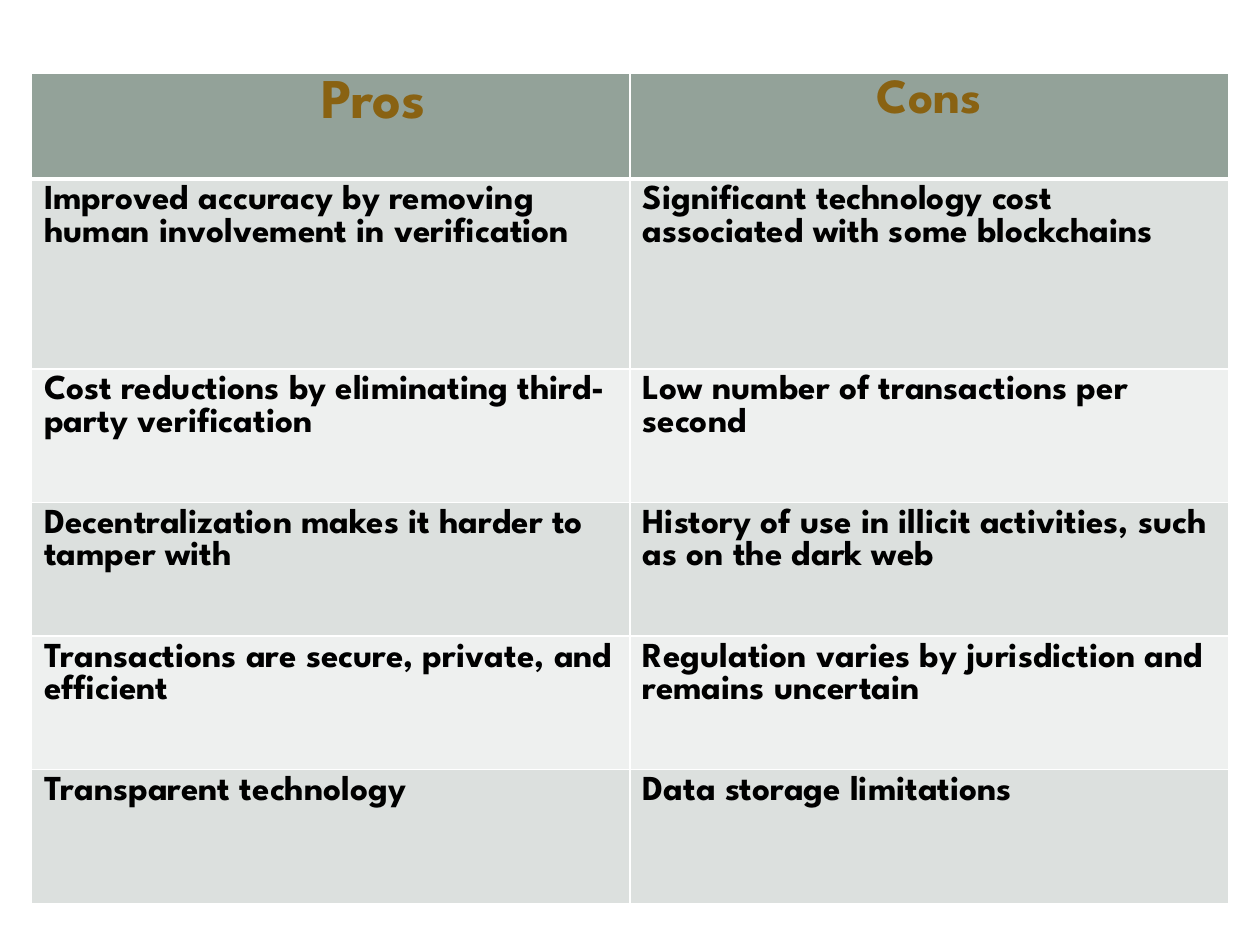
from dataclasses import dataclass

from lxml.etree import SubElement as Sub
from pptx import Presentation
from pptx.dml.color import RGBColor as Rgb
from pptx.enum.text import PP_ALIGN as Align
from pptx.oxml.ns import qn
from pptx.util import Pt

SCALE = 9144


@dataclass(frozen=True)
class Theme:
    font: str = "League Spartan"
    head: str = "93A299"
    bands: tuple = ("DCE0DE", "EEF0EF")
    gold: str = "896212"
    ink: str = "000000"
    rule: str = "FFFFFF"
    sizes: tuple = (32, 28)
    body: int = 20
    thin: int = 1
    thick: int = 3


THEME = Theme()
HEADS = ("Pros", "Cons")
POINTS = (
    ("Improved accuracy by removing human involvement in verification",
     "Significant technology cost associated with some blockchains"),
    ("Cost reductions by eliminating third-party verification",
     "Low number of transactions per second"),
    ("Decentralization makes it harder to tamper with",
     "History of use in illicit activities, such as on the dark web"),
    ("Transactions are secure, private, and efficient",
     "Regulation varies by jurisdiction and remains uncertain"),
    ("Transparent technology", "Data storage limitations"),
)
HEIGHTS = (84, 151) + (106,) * 4


def px(count):
    return count * SCALE


def border(cell, top, base):
    props = cell._tc.get_or_add_tcPr()
    widths = {"lnL": THEME.thin, "lnR": THEME.thin, "lnT": top, "lnB": base}
    for side, width in widths.items():
        line = Sub(props, qn(f"a:{side}"), w=str(Pt(width)))
        fill = Sub(line, qn("a:solidFill"))
        Sub(fill, qn("a:srgbClr"), val=THEME.rule)


def paint(cell, text, fill, size, color, align=Align.LEFT):
    cell.fill.solid()
    cell.fill.fore_color.rgb = Rgb.from_string(fill)
    para = cell.text_frame.paragraphs[0]
    para.text = text
    para.alignment = align
    font = para.runs[0].font
    font.name = THEME.font
    font.size = Pt(size)
    font.bold = True
    font.color.rgb = Rgb.from_string(color)


def add_grid(slide):
    frame = slide.shapes.add_table(
        len(HEIGHTS), len(HEADS), px(25), px(58), px(950), px(sum(HEIGHTS)))
    grid = frame.table
    for row, height in zip(grid.rows, HEIGHTS):
        row.height = px(height)
    return grid


def fill_head(grid):
    for col, (text, size) in enumerate(zip(HEADS, THEME.sizes)):
        cell = grid.cell(0, col)
        border(cell, THEME.thin, THEME.thick)
        paint(cell, text, THEME.head, size, THEME.gold, Align.CENTER)
    grid.cell(0, 0).margin_left = px(78)


def fill_body(grid):
    for row, pair in enumerate(POINTS, 1):
        top = THEME.thick if row == 1 else THEME.thin
        band = THEME.bands[(row - 1) % 2]
        for col, text in enumerate(pair):
            cell = grid.cell(row, col)
            border(cell, top, THEME.thin)
            paint(cell, text, band, THEME.body, THEME.ink)


def main():
    deck = Presentation()
    deck.slide_width, deck.slide_height = px(1000), px(750)
    slide = deck.slides.add_slide(deck.slide_layouts[6])
    grid = add_grid(slide)
    fill_head(grid)
    fill_body(grid)
    deck.save("out.pptx")


if __name__ == "__main__":
    main()
